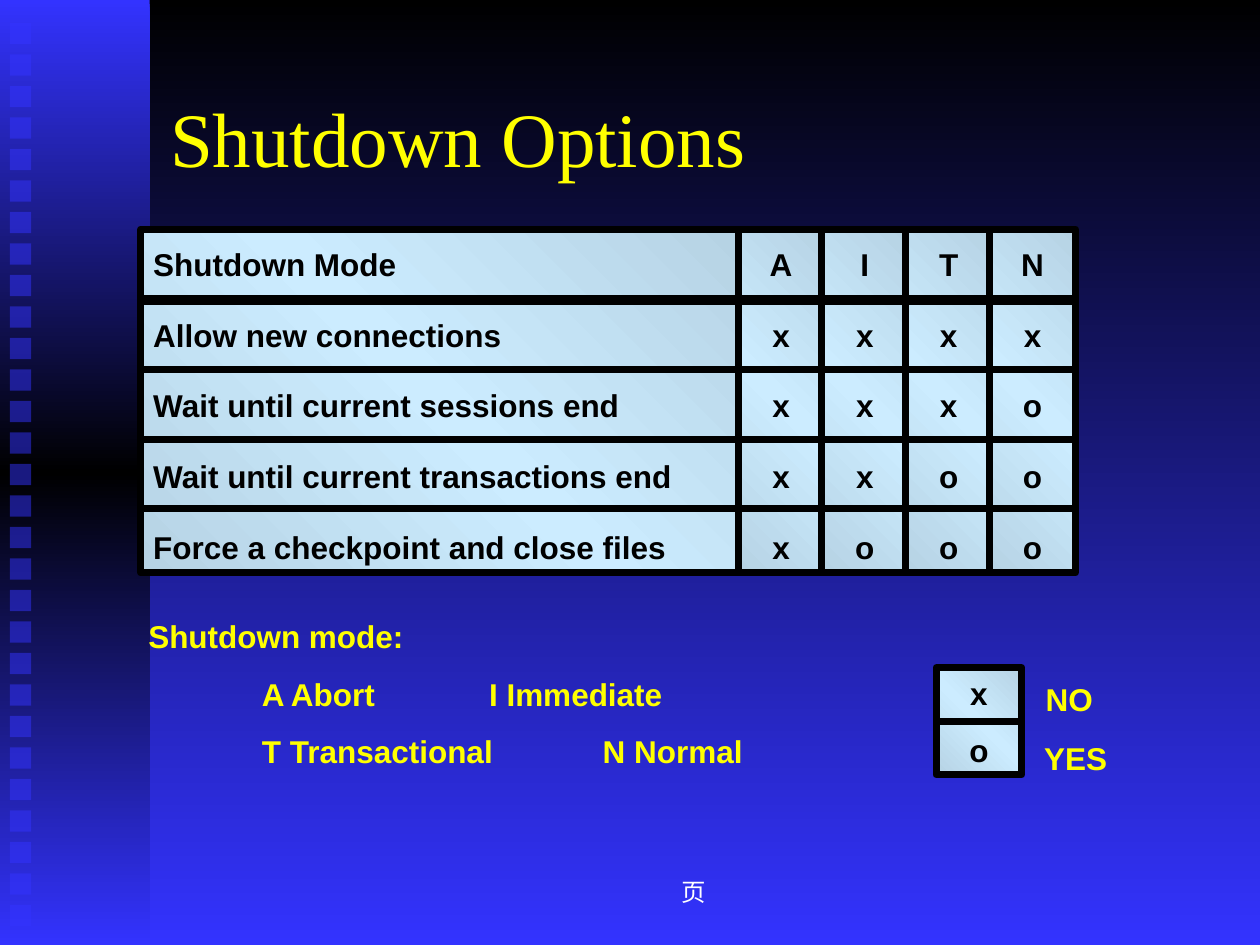
from lxml.etree import SubElement
from pptx import Presentation
from pptx.dml.color import RGBColor
from pptx.enum.shapes import MSO_CONNECTOR, MSO_SHAPE
from pptx.enum.text import MSO_ANCHOR as Anchor, PP_ALIGN as Align
from pptx.oxml.ns import qn
from pptx.util import Cm, Pt

# Content
TITLE = "Shutdown Options"
OPTIONS = [
    "Shutdown Mode",
    "Allow new connections",
    "Wait until current sessions end",
    "Wait until current transactions end",
    "Force a checkpoint and close files",
]
MODES = ["Axxxx", "Ixxxo", "Txxoo", "Nxooo"]  # header, then one mark per option
MODE_NAMES = ["Shutdown mode:", "\tA Abort\t\tI Immediate", "\tT Transactional\tN Normal"]
MARKS = ["x", "o"]
MARK_LABELS = [("NO", 20.83, 13.59, 1.47), ("YES", 20.8, 14.78, 1.78)]
PAGE_LABEL = "页"

COLORS = {"black": "000000", "blue": "3333FF", "yellow": "FFFF00",
          "white": "FFFFFF", "steel": "B6D3E4", "ice": "CCECFF"}
PANEL = ["steel", "ice", "steel"]

# Text formats
BODY = {"size": Pt(18), "name": "Arial", "bold": True}
SERIF = {"name": "Times New Roman", "bold": False}
CELL = {"line_spacing": 1.25, "space_before": Pt(13.5)}
LIST = {"space_before": Pt(11.2)}
CENTER = {"alignment": Align.CENTER}

# Geometry in cm
GRID_TOP, GRID_HEIGHT = 4.62, 6.93
LABEL_LEFT, LABEL_WIDTH = 2.84, 12.04
MODE_LEFT, MODE_STEP, MODE_WIDTH = 14.88, 1.69, 1.73
RULE_LEFT, RULE_RIGHT, RULE_TOP, RULE_STEP = 2.91, 21.72, 6.05, 1.4
SQUARES, SQUARE_TOP, SQUARE_LAST, SQUARE_SIZE = 29, 0.46, 18.24, 0.43
TAB_STEP, TAB_COUNT = 2.29, 8


def rgb(color):
    return RGBColor.from_string(COLORS[color])


def set_gradient(owner, fill, colors, angle):
    fill.gradient()
    gradient = owner._element.find(".//" + qn("a:gradFill"))
    stops = gradient.find(qn("a:gsLst"))
    for stop in list(stops):
        stops.remove(stop)
    for i, color in enumerate(colors):
        stop = SubElement(stops, qn("a:gs"), pos=str(100000 * i // (len(colors) - 1)))
        SubElement(stop, qn("a:srgbClr"), val=COLORS[color])
    gradient.find(qn("a:lin")).set("ang", str(angle * 60000))


def write(shape, lines, color, font, layout, wrap=True, anchor=Anchor.TOP):
    frame = shape.text_frame
    frame.word_wrap, frame.vertical_anchor = wrap, anchor
    for i, line in enumerate(lines):
        paragraph = frame.add_paragraph() if i else frame.paragraphs[0]
        for key, value in {"alignment": Align.LEFT, **layout}.items():
            setattr(paragraph, key, value)
        run = paragraph.add_run()
        run.text = line
        run.font.color.rgb = rgb(color)
        for key, value in font.items():
            setattr(run.font, key, value)


def add_text(box, *args, **options):
    shape = slide.shapes.add_textbox(*map(Cm, box))
    write(shape, *args, **options)
    return shape


def add_rect(*box):
    shape = slide.shapes.add_shape(MSO_SHAPE.RECTANGLE, *map(Cm, box))
    shape.shadow.inherit = False
    shape.line.fill.background()
    return shape


def add_panel(box, lines, layout):
    panel = add_rect(*box)
    set_gradient(panel, panel.fill, PANEL, 135)
    panel.line.color.rgb, panel.line.width = rgb("black"), Pt(4)
    write(panel, lines, "black", BODY, layout)
    return panel


def add_rule(left, right, y, width):
    rule = slide.shapes.add_connector(MSO_CONNECTOR.STRAIGHT, Cm(left), Cm(y), Cm(right), Cm(y))
    rule.line.color.rgb, rule.line.width = rgb("black"), Pt(width)
    SubElement(rule._element.spPr, qn("a:effectLst"))
    return rule


prs = Presentation()
prs.slide_width, prs.slide_height = Cm(25.4), Cm(19.05)
slide = prs.slides.add_slide(prs.slide_layouts[6])

# Background and sidebar
set_gradient(slide, slide.background.fill, ["black", "blue"], 90)
sidebar = add_rect(0, 0, 3.02, 19.05)
set_gradient(sidebar, sidebar.fill, ["blue", "black", "blue"], 90)
for i in range(SQUARES):
    y = SQUARE_TOP + i * (SQUARE_LAST - SQUARE_TOP) / (SQUARES - 1)
    square = add_rect(0.2, y, SQUARE_SIZE, SQUARE_SIZE)
    square.fill.solid()
    square.fill.fore_color.rgb = rgb("blue")
    SubElement(square._element.spPr.find(".//" + qn("a:srgbClr")), qn("a:alpha"), val="50000")

# Options grid: one panel per column, rules between the rows
add_panel((LABEL_LEFT, GRID_TOP, LABEL_WIDTH, GRID_HEIGHT), OPTIONS, CELL)
for i, mode in enumerate(MODES):
    add_panel((MODE_LEFT + i * MODE_STEP, GRID_TOP, MODE_WIDTH, GRID_HEIGHT),
              mode, {**CELL, **CENTER})
for i in range(len(OPTIONS) - 1):
    add_rule(RULE_LEFT, RULE_RIGHT, RULE_TOP + i * RULE_STEP, 4 if i else 6)

# Title with its drop shadow
title = add_text((3.18, 1.7, 21.59, 3.18), [TITLE], "yellow",
                 {**SERIF, "size": Pt(44)}, {"space_before": Pt(5)})
title_format = title.text_frame.paragraphs[0].runs[0].font._element
effects = title_format.makeelement(qn("a:effectLst"))
title_format.find(qn("a:solidFill")).addnext(effects)
shadow = SubElement(effects, qn("a:outerShdw"), dist="35921", dir="2700000")
SubElement(shadow, qn("a:srgbClr"), val=COLORS["black"])

# Names of the modes, set on tab stops
mode_names = add_text((2.74, 12.32, 16.97, 3.33), MODE_NAMES, "yellow", BODY, LIST)
for paragraph in mode_names.text_frame.paragraphs:
    tabs = SubElement(paragraph._p.get_or_add_pPr(), qn("a:tabLst"))
    for i in range(TAB_COUNT):
        SubElement(tabs, qn("a:tab"), pos=str(Cm(i * TAB_STEP)), algn="l")

# Key to the marks
key_panel = add_panel((18.87, 13.46, MODE_WIDTH, 2.16), MARKS, {**LIST, **CENTER})
key_rule = add_rule(20.6, 18.87, 14.54, 4)
key_rule.begin_connect(key_panel, 3)
key_rule.end_connect(key_panel, 1)
for label, left, top, width in MARK_LABELS:
    add_text((left, top, width, 1.02), [label], "yellow", BODY, {}, wrap=False)

# Page label
add_text((9.96, 17.35, 8.05, 1.27), [PAGE_LABEL], "white",
         {**SERIF, "size": Pt(14)}, CENTER, anchor=Anchor.MIDDLE)

prs.save("out.pptx")
